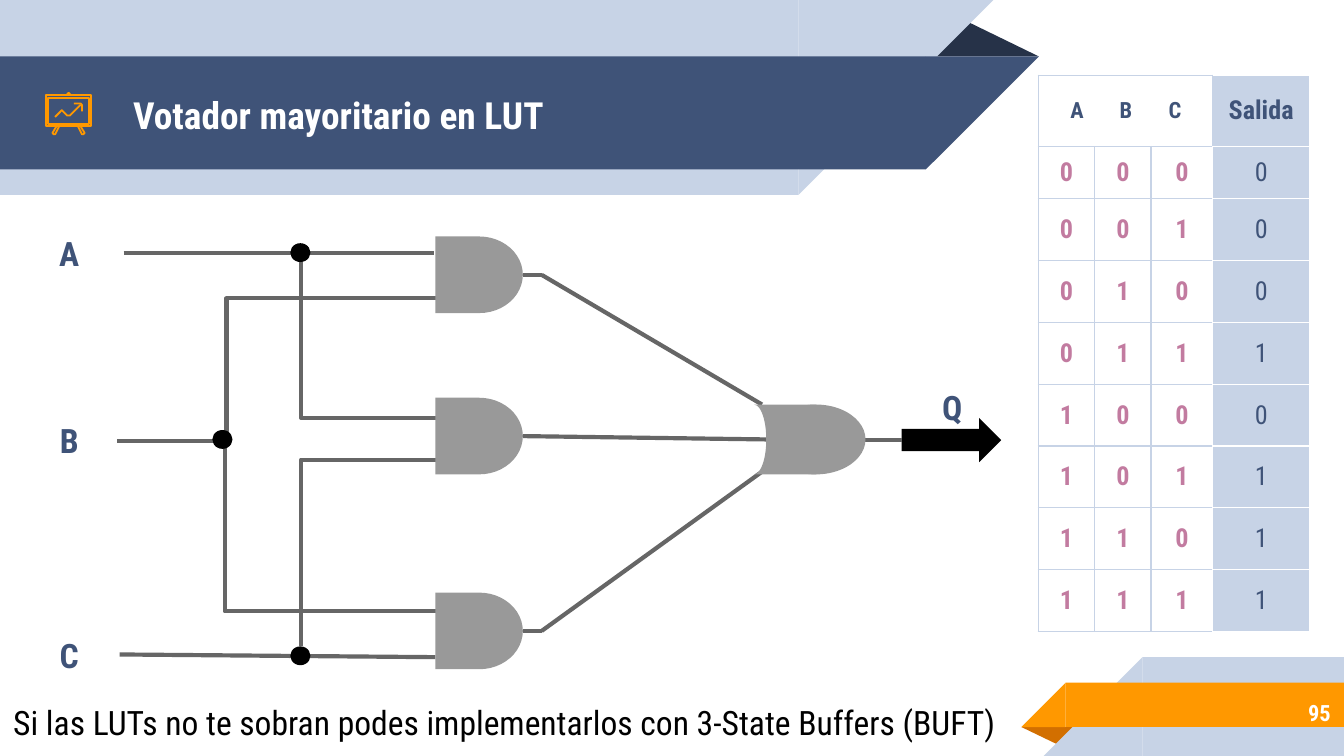
from lxml.etree import SubElement as Sub
from pptx import Presentation
from pptx.dml.color import RGBColor
from pptx.enum.shapes import MSO_CONNECTOR as Link, MSO_SHAPE as Kind
from pptx.enum.text import MSO_ANCHOR as Anchor, MSO_AUTO_SIZE as Auto, PP_ALIGN as Align
from pptx.oxml.ns import qn
from pptx.util import Inches, Pt

FONT = "Roboto Condensed"
NAVY, PALE, GOLD, GRAY, WIRE = "3F5378", "C7D3E6", "FF9800", "999999", "666666"
WHITE, BLACK, PINK = "FFFFFF", "000000", "C27BA0"
GATES = (17.6, 29.6, 44.1)
BITS = [f"{n:03b}" for n in range(8)]


def unit(*cells):
    """Turn grid cells of a tenth of an inch into lengths."""
    return [Inches(c / 10) for c in cells]


def color(text):
    """Turn a hex string into a colour."""
    return RGBColor.from_string(text)


def apply(item, values):
    """Set each attribute named in a dict."""
    for name, value in values.items():
        setattr(item, name, value)


def write(frame, text, size, tint=NAVY, bold=True, align=Align.LEFT):
    """Write one formatted paragraph and return it."""
    para = frame.paragraphs[0]
    para.alignment = align
    run = para.add_run()
    run.text = text
    apply(run.font, {"name": FONT, "size": Pt(size), "bold": bold})
    run.font.color.rgb = color(tint)
    return para


def fit(frame, anchor):
    """Give a text frame even insets, wrapping and a fixed size."""
    inset = Inches(0.1)
    apply(frame, {"margin_left": inset, "margin_right": inset, "margin_top": inset,
                  "margin_bottom": inset, "word_wrap": True,
                  "auto_size": Auto.NONE, "vertical_anchor": anchor})


def label(slide, box, text, size, anchor=Anchor.MIDDLE, **look):
    """Add a text box."""
    frame = slide.shapes.add_textbox(*unit(*box)).text_frame
    fit(frame, anchor)
    write(frame, text, size, **look)


def block(slide, kind, box, tint, turn=0, flip=False, bend=None):
    """Add a plain filled shape."""
    shape = slide.shapes.add_shape(kind, *unit(*box))
    shape.shadow.inherit = False
    shape.fill.solid()
    shape.fill.fore_color.rgb = color(tint)
    shape.line.fill.background()
    shape.rotation = turn
    if flip:
        shape.element.spPr.get_or_add_xfrm().set("flipH", "1")
    if bend:
        shape.adjustments[0] = bend
    return shape


def wire(slide, start, end, turn=None):
    """Add a wire, bent at a share of its width if a turn is given."""
    kind = Link.STRAIGHT if turn is None else Link.ELBOW
    line = slide.shapes.add_connector(kind, *unit(*start, *end))
    line.line.color.rgb = color(WIRE)
    line.line.width = Pt(2.25)
    props = line.element.spPr
    Sub(props, qn("a:effectLst"))
    if turn is not None:
        geom = props.find(qn("a:prstGeom"))
        guides = geom.find(qn("a:avLst"))
        if guides is None:
            guides = Sub(geom, qn("a:avLst"))
        Sub(guides, qn("a:gd"), name="adj1", fmla=f"val {round(turn * 100000)}")
    return line


def stroke(slide, points, close=False):
    """Draw one outline of the icon."""
    first, *rest = [unit(*point) for point in points]
    pen = slide.shapes.build_freeform(*first)
    pen.add_line_segments(rest, close=close)
    shape = pen.convert_to_shape()
    shape.shadow.inherit = False
    shape.fill.background()
    shape.line.color.rgb = color(GOLD)
    shape.line.width = Pt(0.96)


def banner(slide):
    """Draw the ribbons at the top and bottom."""
    block(slide, Kind.ISOSCELES_TRIANGLE, (68.8, 1.4, 8.5, 2.8), "263248", bend=0.324)
    for top, width, high, tint in ((0, 59.4, 14.5, PALE), (4.2, 68.9, 8.4, NAVY)):
        block(slide, Kind.RECTANGLE, (0, top, width, high), tint)
        block(slide, Kind.RIGHT_TRIANGLE, (width, top, high, high), tint, 180, True)
    block(slide, Kind.ISOSCELES_TRIANGLE, (76, 54.1, 4.3, 1.4), "D26F00", 180, bend=0.324)
    for left, top, high, tint in ((85, 48.9, 7.35, PALE), (79.3, 50.8, 3.3, GOLD)):
        block(slide, Kind.RECTANGLE, (left, top, 100 - left, high), tint)
        block(slide, Kind.RIGHT_TRIANGLE, (left - high, top, high, high), tint, flip=True)


def icon(slide):
    """Draw the chart board on its easel."""
    for left, top, right, low in ((3.4, 7.1, 6.8, 9.4), (3.6, 7.3, 6.6, 9.2)):
        stroke(slide, [(left, top), (right, top), (right, low), (left, low)], True)
    stroke(slide, [(5, 7.1), (5, 7), (5.1, 6.9), (5.2, 7), (5.2, 7.1)])
    stroke(slide, [(4.2, 9.4), (3.9, 9.9), (4, 10), (4.1, 10), (4.4, 9.4)])
    stroke(slide, [(5.8, 9.4), (6.1, 10), (6.2, 10), (6.3, 9.9), (6, 9.4)])
    stroke(slide, [(6, 7.8), (5.2, 8.6), (5, 8.6), (4.6, 8.2), (4.1, 8.7)])
    stroke(slide, [(5.5, 7.7), (6, 7.7), (6.1, 7.8), (6.1, 8.3)])


def circuit(slide):
    """Draw the gates, wires and joints of the voter."""
    wire(slide, (32.7, 22.2), (8.7, 32.8), 0.66)
    wire(slide, (32.8, 45.5), (8.8, 32.8), 0.67)
    wire(slide, (32.8, 31.1), (22.4, 19.5), 1)
    wire(slide, (32.7, 34.2), (22.4, 48.1), 1)
    wire(slide, (9.2, 18.8), (32.3, 18.8))
    wire(slide, (8.9, 48.7), (32.4, 48.9))
    ends = ((40.3, 20.45), (57, 32.7), (40.3, 46.95))
    for top, end in zip(GATES, ends):
        gate = block(slide, Kind.FLOWCHART_DELAY, (32.4, top, 6.5, 5.7), GRAY)
        wire(slide, (38.9, top + 2.85), end).begin_connect(gate, 3)
    wire(slide, ends[0], (56.7, 30.1))
    wire(slide, ends[2], (56.7, 35.1))
    arrow = block(slide, Kind.RIGHT_ARROW, (67.1, 31.1, 7.4, 3.3), BLACK)
    wire(slide, (63.8, 32.75), (67.1, 32.75)).end_connect(arrow, 1)
    block(slide, Kind.FLOWCHART_STORED_DATA, (56.1, 30.1, 5.5, 5.2), GRAY, 180)
    block(slide, Kind.OVAL, (57, 30.1, 7.4, 5.2), GRAY)
    for spot in ((21.6, 18.1), (15.8, 32), (21.6, 48.1)):
        block(slide, Kind.OVAL, (*spot, 1.5, 1.4), BLACK)
    for text, left, top in (("A", 3.4, 16.6), ("B", 3.4, 30.5), ("C", 3.4, 46.5), ("Q", 69.1, 28)):
        label(slide, (left, top, 3.5, 4.5), text, 18, align=Align.CENTER)


def edge(cell, **tints):
    """Colour the borders of a cell by side."""
    props = cell._tc.get_or_add_tcPr()
    for side in "LRTB":
        line = Sub(props, qn(f"a:ln{side}"), w=str(Pt(0.75)))
        fill = Sub(line, qn("a:solidFill"))
        Sub(fill, qn("a:srgbClr"), val=tints.get(side, tints["rest"]))


def paint(cell, row, col):
    """Set the borders, fill and anchor of a cell."""
    if col == 3:
        edge(cell, rest=WHITE, L=WHITE if row else PALE)
        cell.fill.solid()
        cell.fill.fore_color.rgb = color(PALE)
    else:
        edge(cell, rest=PALE, R=WHITE if row and col == 2 else PALE)
        cell.fill.background()
    side, end = unit(1, 0.7)
    apply(cell, {"margin_left": side, "margin_right": side, "margin_top": end,
                 "margin_bottom": end, "vertical_anchor": Anchor.MIDDLE})


def truth(slide):
    """Build the truth table of the majority vote."""
    wide, tall = (4.2, 4.2, 4.6, 7.2), (5.3, 3.9, *[4.6] * 7)
    grid = slide.shapes.add_table(9, 4, *unit(77.25, 5.6, sum(wide), sum(tall))).table
    apply(grid, {"first_row": False, "horz_banding": False})
    for col, width in zip(grid.columns, unit(*wide)):
        col.width = width
    for row, height in zip(grid.rows, unit(*tall)):
        row.height = height
    for row in range(9):
        for col in range(4):
            paint(grid.cell(row, col), row, col)
    head = grid.cell(0, 0)
    head.merge(grid.cell(0, 2))
    head.margin_left = Inches(0.24)
    para = write(head.text_frame, "A\tB\tC", 12)
    tabs = Sub(para._p.get_or_add_pPr(), qn("a:tabLst"))
    for stop in unit(3.65, 7.3):
        Sub(tabs, qn("a:tab"), pos=str(stop), algn="l")
    write(grid.cell(0, 3).text_frame, "Salida", 14, align=Align.CENTER)
    for row, bits in enumerate(BITS, 1):
        vote = str(int(bits.count("1") > 1))
        for col, bit in enumerate(bits + vote):
            tint = NAVY if col == 3 else PINK
            write(grid.cell(row, col).text_frame, bit, 14, tint, col < 3, Align.CENTER)


def heading(slide):
    """Place the title on the banner."""
    title = slide.shapes.title
    left, top, width, height = unit(8.9, 4.3, 57.5, 8.4)
    apply(title, {"left": left, "top": top, "width": width, "height": height})
    fit(title.text_frame, Anchor.MIDDLE)
    write(title.text_frame, "Votador mayoritario en LUT", 20, WHITE)
    slide.shapes.element.append(title.element)


def main():
    """Build and save the slide."""
    deck = Presentation()
    wide, tall = unit(100, 56.25)
    apply(deck, {"slide_width": wide, "slide_height": tall})
    slide = deck.slides.add_slide(deck.slide_layouts[5])
    banner(slide)
    heading(slide)
    label(slide, (83.7, 51.3, 16.3, 3.5), "95", 12, tint=WHITE, align=Align.RIGHT)
    icon(slide)
    circuit(slide)
    truth(slide)
    note = "Si las LUTs no te sobran podes implementarlos con 3-State Buffers (BUFT)"
    label(slide, (0, 51.2, 76.1, 4.5), note, 18, Anchor.TOP, tint=BLACK, bold=False)
    deck.save("out.pptx")


if __name__ == "__main__":
    main()
